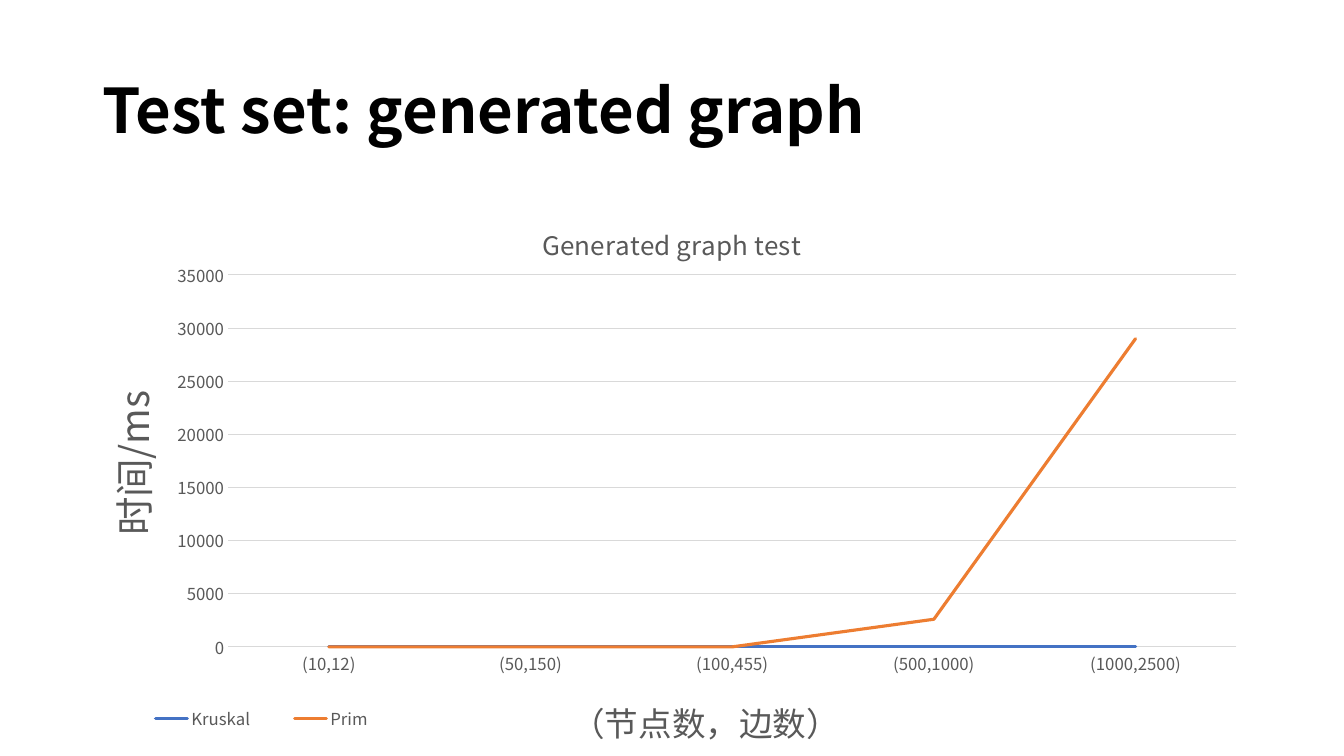
from dataclasses import dataclass
from typing import Optional

import lxml.etree
import pptx
import pptx.chart.data
import pptx.dml.color
import pptx.enum.chart
import pptx.enum.text
import pptx.oxml
import pptx.oxml.ns
import pptx.util
from pptx.util import Cm


@dataclass(frozen=True)
class Theme:
    font: str = "Noto Sans CJK SC"
    ink: str = "000000"
    label: str = "595959"
    grid: str = "D9D9D9"
    heading_size: float = 44
    chart_title_size: float = 18.6
    nodes_title_size: float = 24
    time_title_size: float = 28
    label_size: float = 12
    grid_width: float = 0.75
    series_width: float = 2.25


@dataclass(frozen=True)
class Algorithm:
    name: str
    times: tuple[int, ...]
    color: str


@dataclass(frozen=True)
class Layout:
    """Position inside the chart, in percent of its size."""
    x: float
    y: float
    width: Optional[float] = None
    height: Optional[float] = None
    inner: bool = False


THEME = Theme()
GRAPHS = ("(10,12)", "(50,150)", "(100,455)", "(500,1000)", "(1000,2500)")
ALGORITHMS = (
    Algorithm("Kruskal", (0, 0, 0, 0, 0), "4472C4"),
    Algorithm("Prim", (0, 0, 0, 2600, 29000), "ED7D31"),
)


def style_font(font, size: float, color: str, bold: bool = False) -> None:
    font.name = THEME.font
    font.size = pptx.util.Pt(size)
    font.bold = bold
    font.color.rgb = pptx.dml.color.RGBColor.from_string(color)


def style_line(line, color: str, width: float) -> None:
    line.color.rgb = pptx.dml.color.RGBColor.from_string(color)
    line.width = pptx.util.Pt(width)


def place(element, layout: Layout, index: int) -> None:
    """Give a chart part a manual layout as its child at index."""
    for old in element.findall(pptx.oxml.ns.qn("c:layout")):
        element.remove(old)
    settings = [("layoutTarget", "inner")] if layout.inner else []
    settings += [("xMode", "edge"), ("yMode", "edge")]
    lengths = {"x": layout.x, "y": layout.y, "w": layout.width, "h": layout.height}
    settings += [(tag, f"{value / 100:.4f}") for tag, value in lengths.items() if value is not None]
    holder = pptx.oxml.parse_xml(f"<c:layout {pptx.oxml.ns.nsdecls('c')}/>")
    manual = lxml.etree.SubElement(holder, pptx.oxml.ns.qn("c:manualLayout"))
    for tag, value in settings:
        lxml.etree.SubElement(manual, pptx.oxml.ns.qn(f"c:{tag}"), val=value)
    element.insert(index, holder)


def write_title(title, text: str, size: float) -> None:
    para = title.text_frame.paragraphs[0]
    para.text = text
    style_font(para.font, size, THEME.label)


def style_axis(axis, title: str, title_size: float, title_layout: Layout) -> None:
    axis.major_tick_mark = pptx.enum.chart.XL_TICK_MARK.NONE
    axis.minor_tick_mark = pptx.enum.chart.XL_TICK_MARK.NONE
    style_font(axis.tick_labels.font, THEME.label_size, THEME.label)
    write_title(axis.axis_title, title, title_size)
    place(axis.axis_title._element, title_layout, 1)


def add_heading(page, text: str) -> None:
    box = page.shapes.title
    box.left, box.top, box.width, box.height = Cm(2.33), Cm(1.01), Cm(29.21), Cm(3.68)
    box.text_frame.vertical_anchor = pptx.enum.text.MSO_ANCHOR.MIDDLE
    para = box.text_frame.paragraphs[0]
    para.text = text
    para.alignment = pptx.enum.text.PP_ALIGN.LEFT
    para.line_spacing = 0.9
    style_font(para.font, THEME.heading_size, THEME.ink, bold=True)


def add_timing_chart(page) -> None:
    data = pptx.chart.data.CategoryChartData()
    data.categories = GRAPHS
    for algorithm in ALGORITHMS:
        data.add_series(algorithm.name, algorithm.times)
    chart = page.shapes.add_chart(
        pptx.enum.chart.XL_CHART_TYPE.LINE,
        Cm(2.33), Cm(5.08), Cm(29.21), Cm(13.97), data,
    ).chart
    style_font(chart.font, 10, THEME.ink)
    write_title(chart.chart_title, "Generated graph test", THEME.chart_title_size)
    place(chart.plots[0]._element.getparent(), Layout(11.7, 13.5, 87, 68.4, True), 0)

    # Series
    chart.plots[0].vary_by_categories = False
    for series, algorithm in zip(chart.plots[0].series, ALGORITHMS):
        series.smooth = False
        series.marker.style = pptx.enum.chart.XL_MARKER_STYLE.NONE
        style_line(series.format.line, algorithm.color, THEME.series_width)
        series._element.find(f".//{pptx.oxml.ns.qn('a:ln')}").set("cap", "rnd")

    # Axes
    nodes, time = chart.category_axis, chart.value_axis
    style_axis(nodes, "（节点数，边数）", THEME.nodes_title_size, Layout(40.8, 89.6))
    style_axis(time, "时间/ms", THEME.time_title_size, Layout(-0.5, 33.7))
    style_line(nodes.format.line, THEME.grid, THEME.grid_width)
    time.format.line.fill.background()
    style_line(time.major_gridlines.format.line, THEME.grid, THEME.grid_width)
    time.minimum_scale, time.maximum_scale, time.major_unit = 0, 35000, 5000
    body = time.axis_title._element.find(f".//{pptx.oxml.ns.qn('a:bodyPr')}")
    body.set("rot", "-5400000")
    body.set("vert", "horz")

    # Legend
    chart.has_legend = True
    legend = chart.legend
    legend.position = pptx.enum.chart.XL_LEGEND_POSITION.BOTTOM
    legend.include_in_layout = False
    style_font(legend.font, THEME.label_size, THEME.label)
    place(legend._element, Layout(2.1, 92, 25, 6), 1)


def main() -> None:
    deck = pptx.Presentation()
    deck.slide_width, deck.slide_height = Cm(33.87), Cm(19.05)
    page = deck.slides.add_slide(deck.slide_layouts[5])
    add_heading(page, "Test set: generated graph")
    add_timing_chart(page)
    deck.save("out.pptx")


if __name__ == "__main__":
    main()
